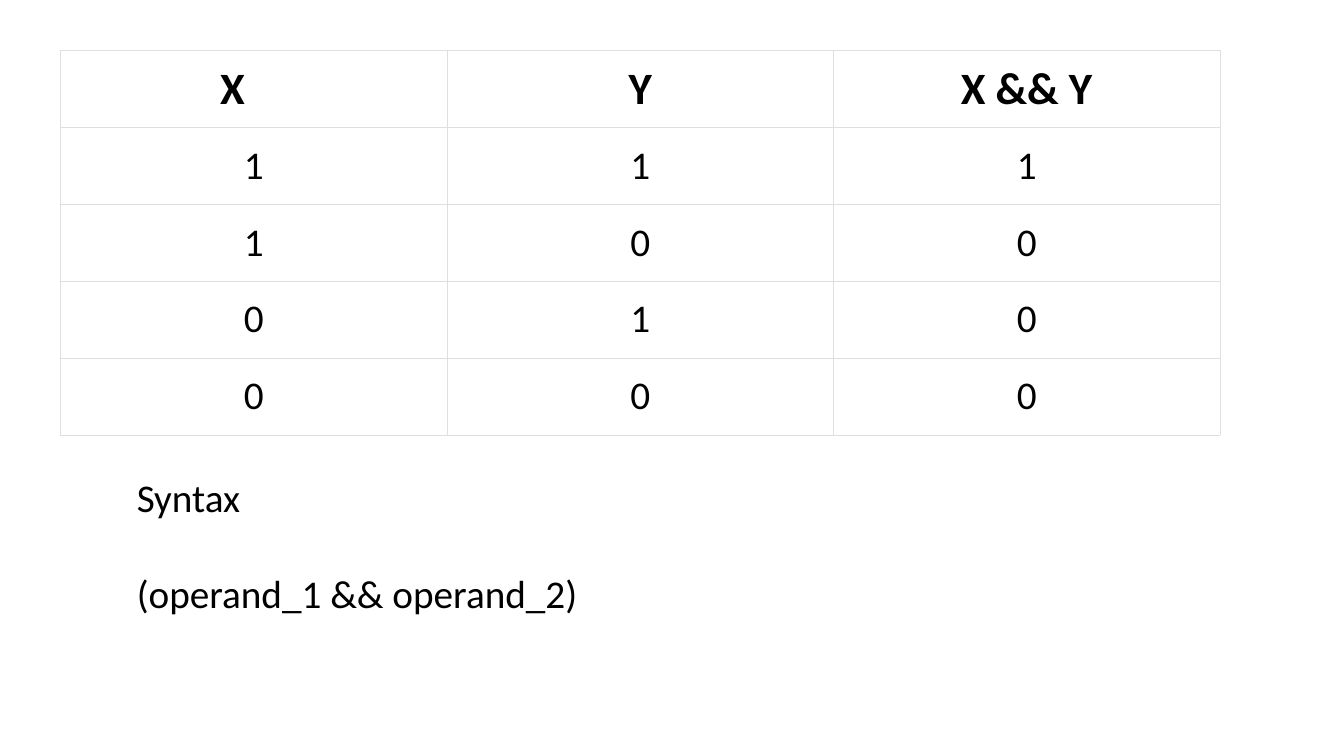
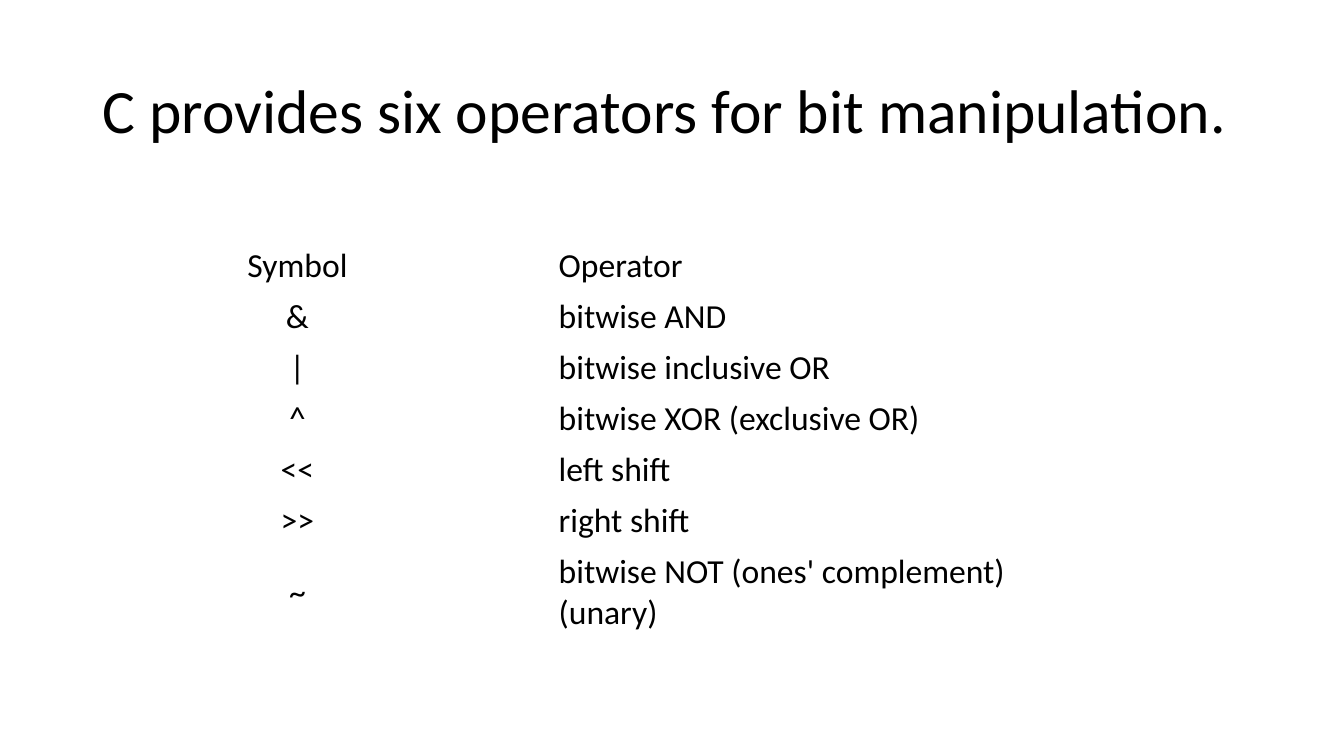
from lxml import etree
from pptx import Presentation
from pptx.dml.color import RGBColor
from pptx.enum.text import MSO_ANCHOR, PP_ALIGN
from pptx.oxml.ns import qn
from pptx.util import Inches, Pt

MID = MSO_ANCHOR.MIDDLE
LEFT, MIDDLE = PP_ALIGN.LEFT, PP_ALIGN.CENTER
FONT, INK, PAPER, RULE = "Calibri", "000000", "FFFFFF", "DFDFDF"

deck = Presentation()
deck.slide_width, deck.slide_height = Inches(13.33), Inches(7.5)
UNIT = deck.slide_height / 90
TITLE, BLANK = deck.slide_layouts[5], deck.slide_layouts[6]


def grid(*steps):
    return [round(step * UNIT) for step in steps]


def write(frame, text, size, align=LEFT, bold=False):
    frame.text = text
    line = frame.paragraphs[0]
    line.alignment = align
    font = line.runs[0].font
    font.name, font.size, font.bold = FONT, Pt(size), bold
    font.color.rgb = RGBColor.from_string(INK)
    return line


logic = deck.slides.add_slide(BLANK)
truth = [
    ("X", "Y", "X && Y"),
    ("1", "1", "1"),
    ("1", "0", "0"),
    ("0", "1", "0"),
    ("0", "0", "0"),
]
table = logic.shapes.add_table(5, 3, *grid(7.2, 6, 138, 45.8)).table
table.first_row = table.horz_banding = False
for row, texts in enumerate(truth):
    head = row == 0
    for col, text in enumerate(texts):
        cell = table.cell(row, col)
        props = cell._tc.get_or_add_tcPr()
        for side in "LRTB":
            edge = etree.SubElement(props, qn(f"a:ln{side}"), w=str(Pt(0.25)))
            fill = etree.SubElement(edge, qn("a:solidFill"))
            etree.SubElement(fill, qn("a:srgbClr"), val=RULE)
        cell.fill.solid()
        cell.fill.fore_color.rgb = RGBColor.from_string(PAPER)
        cell.vertical_anchor = MID
        cell.margin_left = cell.margin_right = Inches(0.1)
        cell.margin_top = cell.margin_bottom = Inches(0.1 if head else 0.14)
        write(cell.text_frame, text, 32 if head else 28, MIDDLE, head)
table.cell(0, 0).margin_right = Inches(0.52)

notes = [("Syntax", 14.9), ("(operand_1 && operand_2)", 55.4)]
for row, (text, width) in enumerate(notes):
    box = logic.shapes.add_textbox(*grid(15.1, 55.8 + 11.4 * row, width, 6.8))
    box.text_frame.word_wrap = False
    write(box.text_frame, text, 28)

bits = deck.slides.add_slide(TITLE)
title = bits.shapes.title
title.left, title.top, title.width, title.height = grid(11, 4.8, 138, 17.4)
title.text_frame.vertical_anchor = MID
line = write(title.text_frame, "C provides six operators for bit manipulation.", 44)
line.line_spacing = 0.9

signs = [
    ("Symbol", "Operator"),
    ("&", "bitwise AND"),
    ("|", "bitwise inclusive OR"),
    ("^", "bitwise XOR (exclusive OR)"),
    ("<<", "left shift"),
    (">>", "right shift"),
    ("~", "bitwise NOT (ones' complement) (unary)"),
]
table = bits.shapes.add_table(7, 2, *grid(5.5, 28.6, 119.6, 42)).table
table.first_row = table.horz_banding = False
for row, texts in enumerate(signs):
    for col, text in enumerate(texts):
        cell = table.cell(row, col)
        cell.fill.background()
        cell.vertical_anchor = MID
        write(cell.text_frame, text, 24, LEFT if col else MIDDLE)

deck.save("out.pptx")
